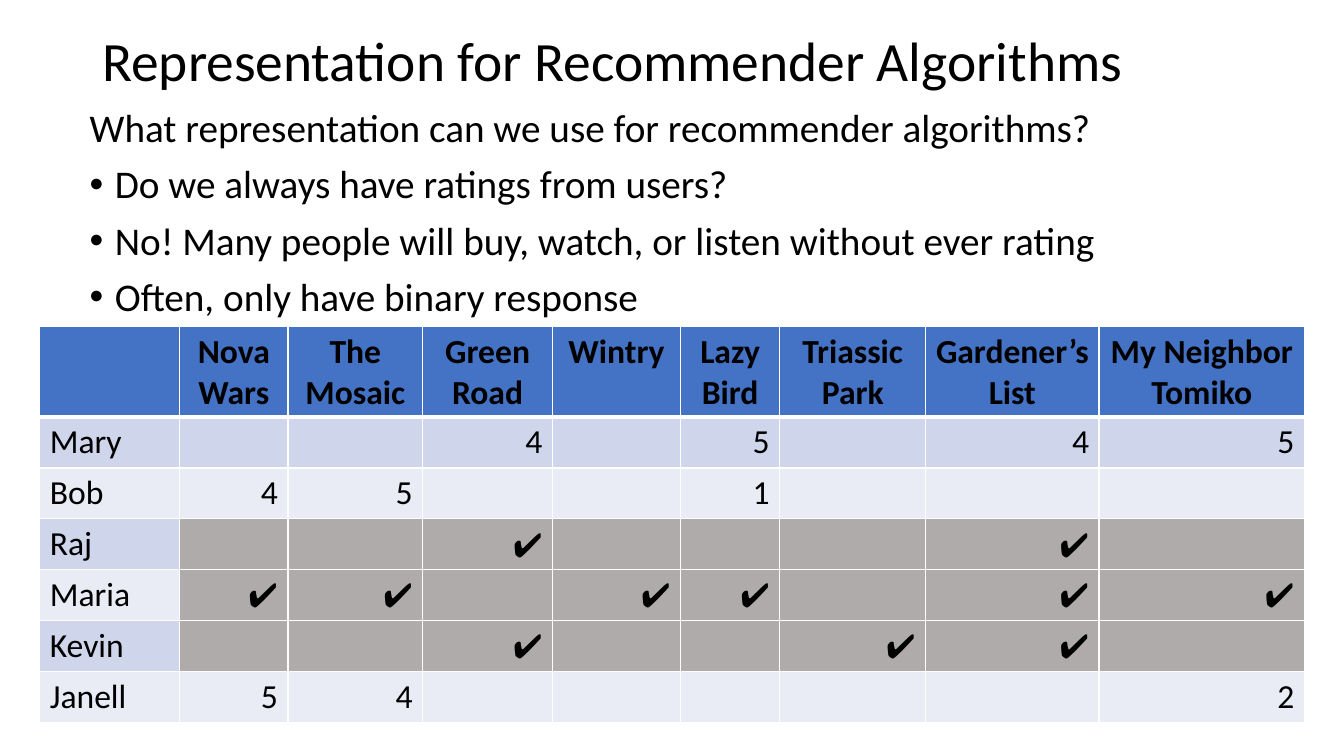
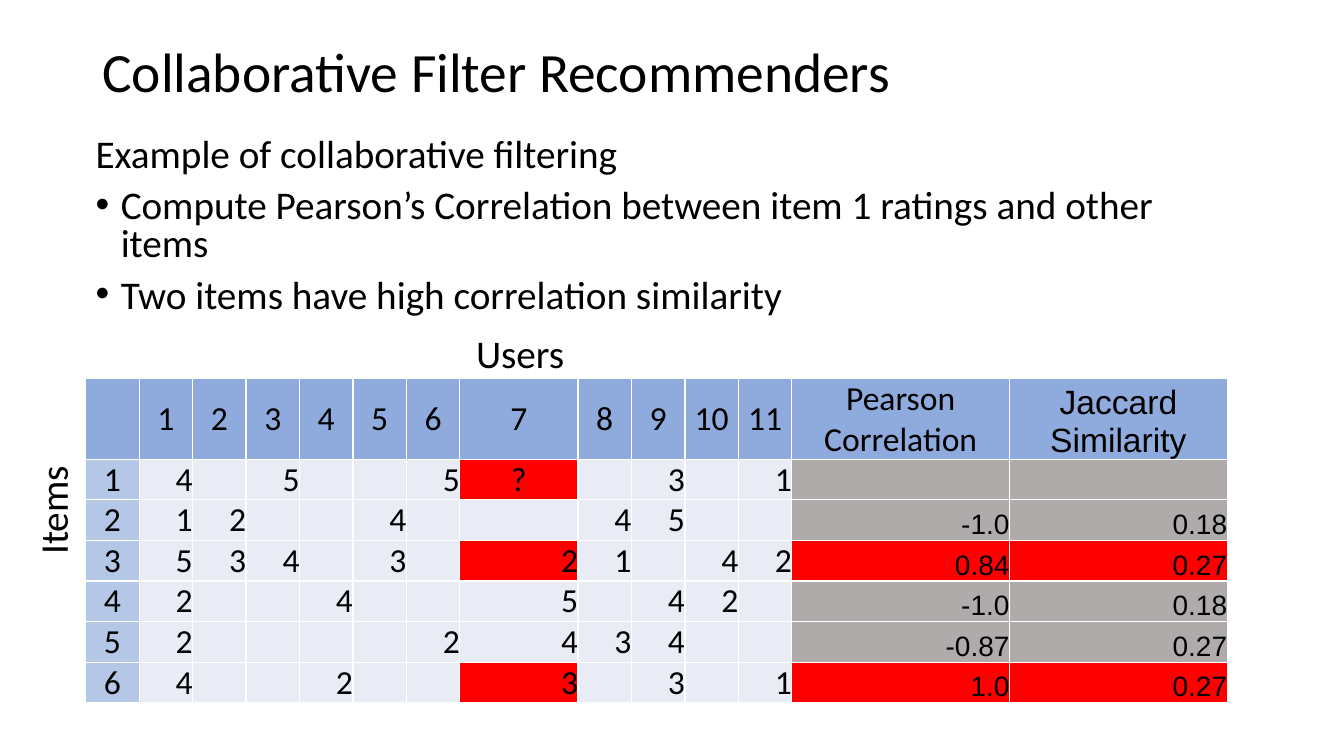
from dataclasses import dataclass
from typing import Callable

from lxml.etree import SubElement
from pptx import Presentation
from pptx.dml.color import RGBColor
from pptx.enum.text import MSO_ANCHOR, PP_ALIGN
from pptx.oxml.ns import qn
from pptx.util import Pt

FONT = "Calibri"
BLACK = "000000"
WHITE = "FFFFFF"
BLUE = "4472C4"
SKY = "8FAADC"
PALE = "B4C7E7"
DARK = "CFD5EA"
LIGHT = "E9EBF5"
GREY = "AFABAB"
RED = "FF0000"
TICK = "✔"
INDENT = 18


@dataclass(frozen=True)
class Box:
    left: float
    top: float
    width: float
    height: float


@dataclass(frozen=True)
class Look:
    """Appearance of one table cell."""
    fill: str
    align: PP_ALIGN = PP_ALIGN.RIGHT
    anchor: MSO_ANCHOR = MSO_ANCHOR.TOP
    size: float = 24
    font: str = FONT
    bold: bool = False


@dataclass(frozen=True)
class Grid:
    left: float
    top: float
    widths: list[float]
    head: float
    row: float
    inset: tuple[float, float]
    rule: float
    rows: list[str]
    look: Callable[[int, int, str], Look]


def color(code: str) -> RGBColor:
    return RGBColor.from_string(code)


def style(para, size: float, font: str = FONT, bold: bool = False) -> None:
    for run in para.runs:
        run.font.size = Pt(size)
        run.font.name = font
        run.font.bold = bold
        run.font.color.rgb = color(BLACK)


def add_text(slide, box: Box, text: str, size: float = 28):
    shape = slide.shapes.add_textbox(
        Pt(box.left), Pt(box.top), Pt(box.width), Pt(box.height))
    frame = shape.text_frame
    frame.word_wrap = True
    frame.text = text
    for para in frame.paragraphs:
        style(para, size)
    return shape


def add_title(slide, top: float, text: str) -> None:
    frame = add_text(slide, Box(66, top, 828, 49), text, 39.6).text_frame
    frame.vertical_anchor = MSO_ANCHOR.MIDDLE
    frame.paragraphs[0].line_spacing = 0.9


def add_body(slide, box: Box, lines: list[str], gap: float) -> None:
    """Add a lead line followed by bullets."""
    frame = add_text(slide, box, "\n".join(lines)).text_frame
    for index, para in enumerate(frame.paragraphs):
        para.line_spacing = gap
        para.space_before = Pt(10)
        if index:
            props = para._p.get_or_add_pPr()
            props.set("marL", str(Pt(INDENT)))
            props.set("indent", str(-Pt(INDENT)))
            SubElement(props, qn("a:buFont")).set("typeface", "Arial")
            SubElement(props, qn("a:buChar")).set("char", "•")


def add_label(slide, box: Box, text: str, turn: float = 0) -> None:
    shape = add_text(slide, box, text)
    shape.rotation = turn
    shape.text_frame.paragraphs[0].alignment = PP_ALIGN.CENTER


def set_edges(cell, top: float, bottom: float) -> None:
    props = cell._tc.get_or_add_tcPr()
    edges = {"L": 1, "R": 1, "T": top, "B": bottom}
    for index, (side, width) in enumerate(edges.items()):
        line = SubElement(props, qn(f"a:ln{side}"), w=str(Pt(width)))
        fill = SubElement(line, qn("a:solidFill"))
        SubElement(fill, qn("a:srgbClr"), val=WHITE)
        props.insert(index, line)


def fill_cell(cell, text: str, look: Look, inset: tuple[float, float]) -> None:
    cell.fill.solid()
    cell.fill.fore_color.rgb = color(look.fill)
    cell.margin_left = cell.margin_right = Pt(inset[0])
    cell.margin_top = cell.margin_bottom = Pt(inset[1])
    cell.vertical_anchor = look.anchor
    if text:
        cell.text_frame.text = text
        para = cell.text_frame.paragraphs[0]
        para.alignment = look.align
        style(para, look.size, look.font, look.bold)


def add_grid(slide, grid: Grid) -> None:
    heights = [grid.head] + [grid.row] * (len(grid.rows) - 1)
    table = slide.shapes.add_table(
        len(heights), len(grid.widths), Pt(grid.left), Pt(grid.top),
        Pt(sum(grid.widths)), Pt(sum(heights))).table
    for col, width in zip(table.columns, grid.widths):
        col.width = Pt(width)
    for r, line in enumerate(grid.rows):
        table.rows[r].height = Pt(heights[r])
        for c, text in enumerate(line.split("|")):
            cell = table.cell(r, c)
            fill_cell(cell, text, grid.look(r, c, text), grid.inset)
            set_edges(cell, grid.rule if r == 1 else 1,
                      grid.rule if r == 0 else 1)


def film_look(r: int, c: int, text: str) -> Look:
    if r == 0:
        return Look(BLUE, PP_ALIGN.CENTER, bold=True)
    band = DARK if r % 2 else LIGHT
    if c == 0:
        return Look(band, PP_ALIGN.LEFT)
    return Look(GREY if r in (3, 4, 5) else band,
                font="Lato" if text == TICK else FONT)


def score_look(r: int, c: int, text: str) -> Look:
    score = c >= 12
    if r == 0:
        return Look(SKY, PP_ALIGN.CENTER,
                    MSO_ANCHOR.BOTTOM if score else MSO_ANCHOR.MIDDLE,
                    font="Arial" if c == 13 else FONT)
    if c == 0:
        return Look(PALE, PP_ALIGN.CENTER, MSO_ANCHOR.MIDDLE)
    if score:
        return Look(RED if r in (3, 6) else GREY,
                    anchor=MSO_ANCHOR.BOTTOM, size=20, font="Arial")
    return Look(RED if c == 7 and r in (1, 3, 6) else LIGHT,
                PP_ALIGN.CENTER if text == "?" else PP_ALIGN.RIGHT,
                MSO_ANCHOR.MIDDLE)


FILMS = Grid(
    28.4, 233, [100, 77.3, 96.3, 92.7, 91.5, 70.9, 104.2, 123.9, 146.7],
    64.5, 36.4, (7.2, 3.6), 3,
    ["|Nova Wars|The Mosaic|Green Road|Wintry|Lazy Bird|Triassic Park"
     "|Gardener’s List|My Neighbor Tomiko",
     "Mary|||4||5||4|5",
     "Bob|4|5|||1|||",
     "Raj|||✔||||✔|",
     "Maria|✔|✔||✔|✔||✔|✔",
     "Kevin|||✔|||✔|✔|",
     "Janell|5|4||||||2"],
    film_look)

SCORES = Grid(
    61.2, 270.4, [38.2] * 7 + [84.4] + [38.2] * 4 + [155.5] * 2,
    57.6, 29, (0, 0), 1,
    ["|1|2|3|4|5|6|7|8|9|10|11|Pearson Correlation|Jaccard Similarity",
     "1|4||5|||5|?||3||1||",
     "2|1|2|||4|||4|5|||-1.0|0.18",
     "3|5|3|4||3||2|1||4|2|0.84|0.27",
     "4|2|||4|||5||4|2||-1.0|0.18",
     "5|2|||||2|4|3|4|||-0.87|0.27",
     "6|4|||2|||3||3||1|1.0|0.27"],
    score_look)


def main() -> None:
    deck = Presentation()
    deck.slide_width, deck.slide_height = Pt(960), Pt(540)
    blank = deck.slide_layouts[6]

    slide = deck.slides.add_slide(blank)
    add_title(slide, 20.8, "Representation for Recommender Algorithms")
    add_body(slide, Box(57, 74, 828, 436), [
        "What representation can we use for recommender algorithms?",
        "Do we always have ratings from users?",
        "No! Many people will buy, watch, or listen without ever rating",
        "Often, only have binary response"], 0.9)
    add_grid(slide, FILMS)

    slide = deck.slides.add_slide(blank)
    add_title(slide, 28.8, "Collaborative Filter Recommenders")
    add_body(slide, Box(61.2, 95, 828, 145.4), [
        "Example of collaborative filtering",
        "Compute Pearson’s Correlation between item 1 ratings"
        " and other items",
        "Two items have high correlation similarity"], 0.8)
    add_label(slide, Box(-2, 344, 79, 41), "Items", 270)
    add_label(slide, Box(332, 232, 79, 41), "Users")
    add_grid(slide, SCORES)

    deck.save("out.pptx")


if __name__ == "__main__":
    main()
